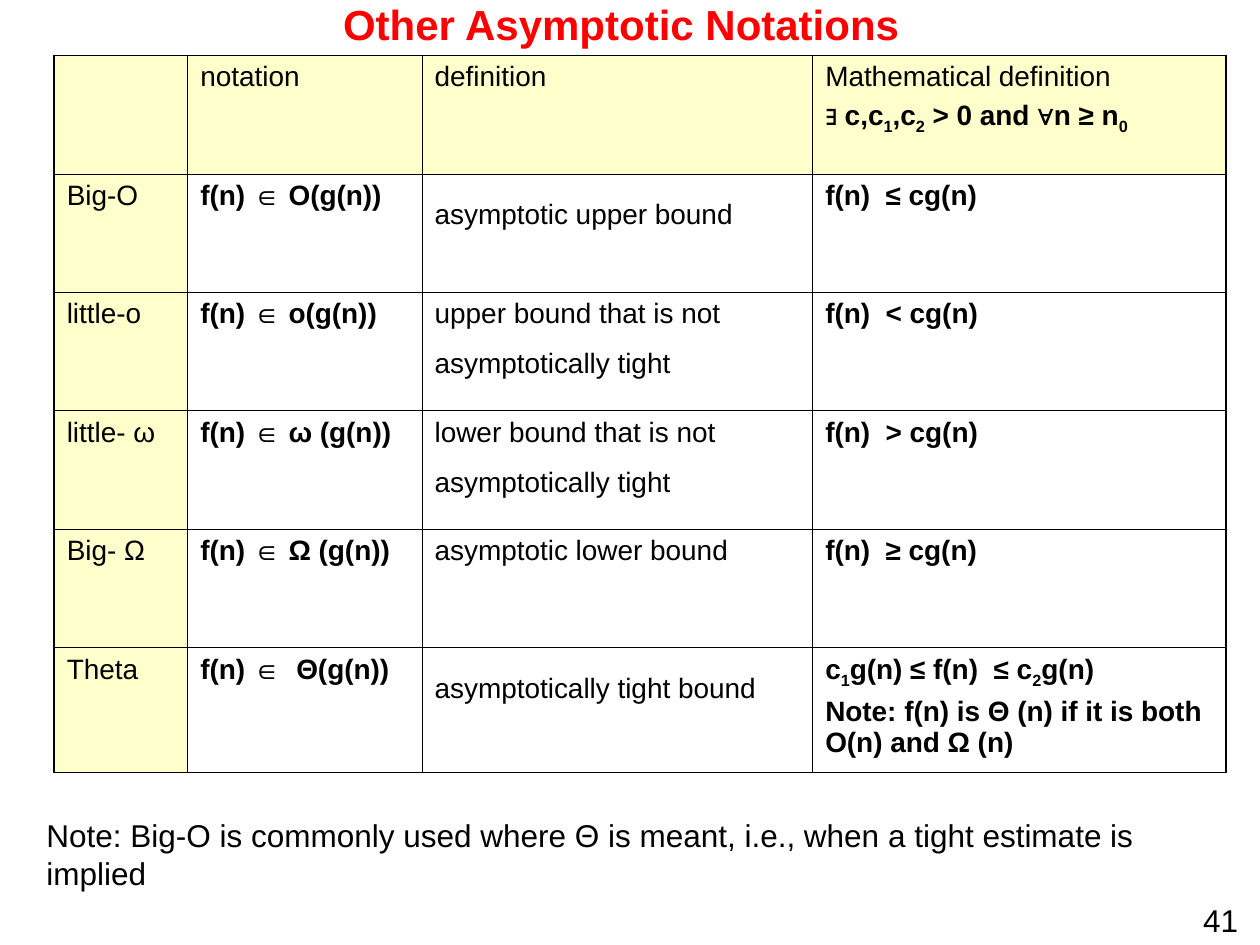
"""Build the slide on asymptotic notations."""
from lxml.etree import SubElement
from pptx import Presentation
from pptx.dml.color import RGBColor
from pptx.enum.text import MSO_ANCHOR, PP_ALIGN
from pptx.oxml.ns import qn
from pptx.util import Inches, Pt

BLACK = RGBColor(0, 0, 0)
RED = RGBColor(255, 0, 0)
CREAM = RGBColor(255, 255, 204)
THICK, THIN = Pt(1.08), Pt(0.45)
WIDTHS = [1.06, 1.86, 3.1, 3.28]
HEIGHTS = [0.94] * 5 + [0.99]
ROWS = [
    ["", "notation", "definition",
     "Mathematical definition\n∃ c,c_1,c_2 > 0 and ∀n ≥ n_0"],
    ["Big-O", "f(n) ∈ O(g(n))", "asymptotic upper bound", "f(n)  ≤ cg(n)"],
    ["little-o", "f(n) ∈ o(g(n))",
     "upper bound that is not asymptotically tight", "f(n)  < cg(n)"],
    ["little- ω", "f(n) ∈ ω (g(n))",
     "lower bound that is not asymptotically tight", "f(n)  > cg(n)"],
    ["Big- Ω", "f(n) ∈ Ω (g(n))", "asymptotic lower bound", "f(n)  ≥ cg(n)"],
    ["Theta", "f(n) ∈  Θ(g(n))", "asymptotically tight bound",
     "c_1g(n) ≤ f(n)  ≤ c_2g(n)\n"
     "Note: f(n) is Θ (n) if it is both O(n) and Ω (n)"],
]
TALL = (1, 2, 3, 5)


def style(font, size, color=BLACK, bold=False):
    font.name, font.size, font.bold = "Arial", Pt(size), bold
    font.color.rgb = color


def add_text(slide, box, text, size, color=BLACK, bold=False):
    shape = slide.shapes.add_textbox(*map(Inches, box))
    frame = shape.text_frame
    frame.word_wrap = True
    frame.text = text
    style(frame.paragraphs[0].runs[0].font, size, color, bold)
    return frame


def add_run(para, text, bold, size=16, sub=False):
    run = para.add_run()
    run.text = text
    style(run.font, size, bold=bold)
    if sub:
        run.font._element.set("baseline", "-25000")


def add_math(para, text, bold):
    """Write text in which an underscore lowers the next letter."""
    head, *parts = text.split("_")
    add_run(para, head, bold)
    for part in parts:
        add_run(para, part[0], bold, sub=True)
        if part[1:]:
            add_run(para, part[1:], bold)


def set_edge(cell, side, width):
    line = SubElement(cell._tc.get_or_add_tcPr(), qn(f"a:ln{side}"), w=str(width))
    fill = SubElement(line, qn("a:solidFill"))
    SubElement(fill, qn("a:srgbClr"), val=str(BLACK))


def fill_cell(cell, row, col):
    last = len(ROWS) - 1
    outer = {"L": col == 0, "R": col == 3, "T": row == 0, "B": row == last}
    for side, edge in outer.items():
        set_edge(cell, side, THICK if edge else THIN)
    if row == 0 or col == 0:
        cell.fill.solid()
        cell.fill.fore_color.rgb = CREAM
    else:
        cell.fill.background()
    text = ROWS[row][col]
    if not text:
        return
    frame = cell.text_frame
    for i, line in enumerate(text.split("\n")):
        para = frame.add_paragraph() if i else frame.paragraphs[0]
        if i:
            para.space_before = Pt(4)
        add_math(para, line, bold=(row > 0 and col in (1, 3)) or i > 0)
    if col == 2 and row in TALL:
        add_run(para, " ", False, 28)


def add_grid(slide):
    box = map(Inches, (0.43, 0.44, sum(WIDTHS), sum(HEIGHTS)))
    table = slide.shapes.add_table(len(ROWS), len(WIDTHS), *box).table
    table.first_row = table.horz_banding = False
    for col, width in zip(table.columns, WIDTHS):
        col.width = Inches(width)
    for r, height in enumerate(HEIGHTS):
        table.rows[r].height = Inches(height)
        for c in range(len(WIDTHS)):
            fill_cell(table.cell(r, c), r, c)


def main():
    deck = Presentation()
    deck.slide_width, deck.slide_height = Inches(10), Inches(7.5)
    slide = deck.slides.add_slide(deck.slide_layouts[6])
    add_text(slide, (9.45, 7.1, 0.55, 0.4), "41", 18)
    title = add_text(slide, (0.43, 0, 9, 0.38),
                     "Other Asymptotic Notations", 24, RED, True)
    title.margin_top = title.margin_bottom = 0
    title.vertical_anchor = MSO_ANCHOR.MIDDLE
    title.paragraphs[0].alignment = PP_ALIGN.CENTER
    add_grid(slide)
    add_text(slide, (0.27, 6.43, 9.45, 0.7),
             "Note: Big-O is commonly used where Θ is meant, i.e., "
             "when a tight estimate is implied", 18)
    deck.save("out.pptx")


if __name__ == "__main__":
    main()
